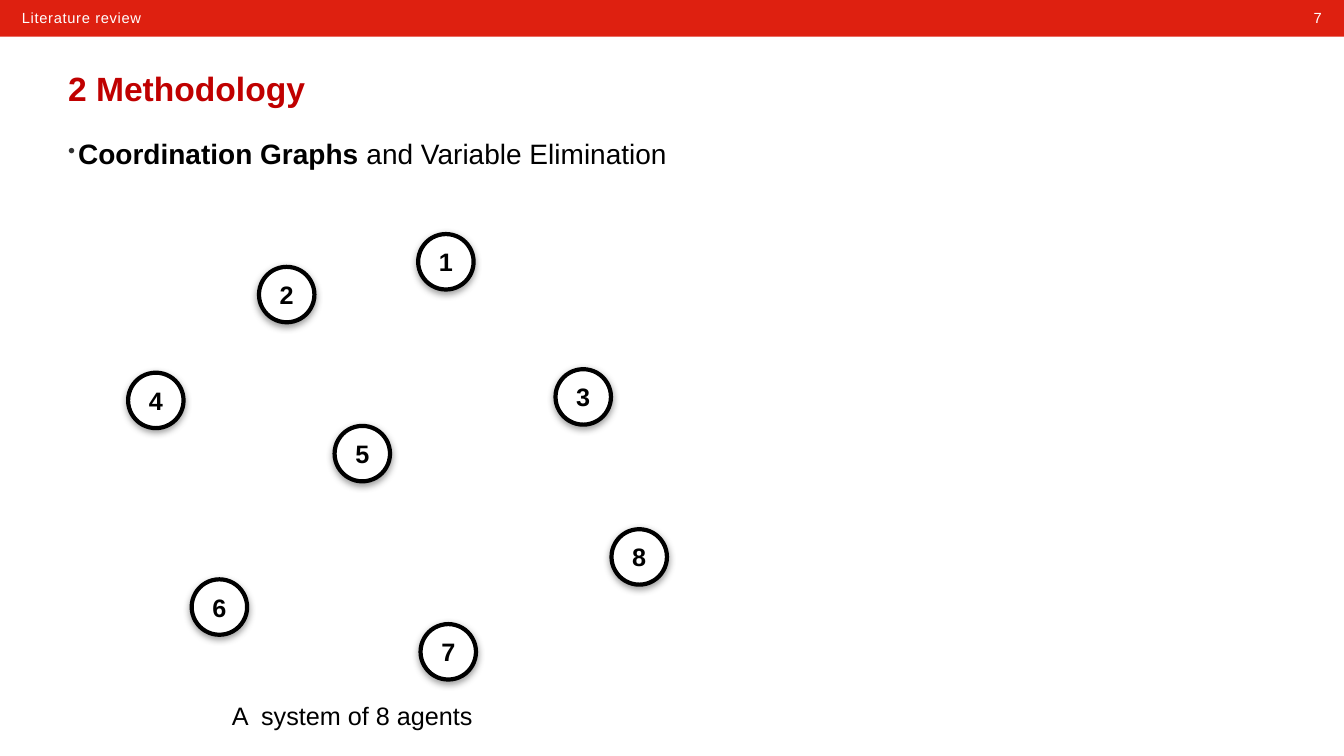
"""Build the slide that introduces a system of eight agents."""
from dataclasses import dataclass

from lxml.etree import _Element
from pptx import Presentation
from pptx.dml.color import RGBColor
from pptx.enum.shapes import MSO_SHAPE
from pptx.enum.text import MSO_ANCHOR, PP_ALIGN
from pptx.oxml import parse_xml
from pptx.oxml.ns import nsdecls, qn
from pptx.slide import Slide
from pptx.text.text import _Paragraph
from pptx.util import Pt

RECTANGLE, OVAL = MSO_SHAPE.RECTANGLE, MSO_SHAPE.OVAL
LEFT, CENTER, RIGHT = PP_ALIGN.LEFT, PP_ALIGN.CENTER, PP_ALIGN.RIGHT
TOP, MIDDLE = MSO_ANCHOR.TOP, MSO_ANCHOR.MIDDLE
BLACK = RGBColor(0x00, 0x00, 0x00)
WHITE = RGBColor(0xFF, 0xFF, 0xFF)
BANNER_RED = RGBColor(0xDE, 0x20, 0x10)
TITLE_RED = RGBColor(0xC0, 0x00, 0x00)
BULLET_GREY = RGBColor(0x32, 0x32, 0x32)
SHADOW_GREY = RGBColor(0x80, 0x80, 0x80)
FONT = "Arial"
SLIDE_WIDTH, SLIDE_HEIGHT = 960, 540
AGENT_SIZE = 39.6


@dataclass(frozen=True)
class Span:
    """A piece of text with its weight."""
    text: str
    bold: bool = False


@dataclass(frozen=True)
class Label:
    """A text box with one paragraph, in points."""
    left: float
    top: float
    width: float
    height: float
    spans: tuple[Span, ...]
    size: float
    color: RGBColor = BLACK
    align: PP_ALIGN = LEFT
    anchor: MSO_ANCHOR = TOP
    spacing: float = 0
    bullet: bool = False


@dataclass(frozen=True)
class Agent:
    """A numbered agent and its top left corner, in points."""
    number: int
    left: float
    top: float


LABELS = (
    Label(882.7, 2.9, 68.4, 20.2, (Span("7"),), 10.5, WHITE, RIGHT, spacing=0.5),
    Label(8.6, 2.9, 599.8, 20.2, (Span("Literature review"),), 10.5, WHITE, spacing=0.5),
    Label(41.5, 39.6, 877, 46, (Span("2 Methodology", True),), 24, TITLE_RED, anchor=MIDDLE),
    Label(41.5, 94.3, 935.3, 419.8,
          (Span("Coordination Graphs ", True), Span("and Variable Elimination")), 20, bullet=True),
    Label(91.4, 496.8, 320.4, 29.5, (Span("A  system of 8 agents"),), 18, align=CENTER),
)
AGENTS = (
    Agent(1, 298.7, 167.2),
    Agent(2, 185, 190.6),
    Agent(3, 396.8, 263.7),
    Agent(4, 91.5, 266.2),
    Agent(5, 239, 304.2),
    Agent(6, 136.9, 413.8),
    Agent(7, 300.4, 445.8),
    Agent(8, 436.8, 378),
)


def element(markup: str) -> _Element:
    """Parse a DrawingML element, adding the namespace to its first tag."""
    tag, rest = markup.split(" ", 1)
    return parse_xml(f"{tag} {nsdecls('a')} {rest}")


def style(para: _Paragraph, size: float, color: RGBColor, align: PP_ALIGN) -> None:
    """Set the font and alignment of a paragraph."""
    para.alignment = align
    para.font.name = FONT
    para.font.size = Pt(size)
    para.font.color.rgb = color


def add_bullet(para: _Paragraph) -> None:
    """Give a paragraph a small grey bullet."""
    properties = para._p.get_or_add_pPr()
    properties.set("marL", str(Pt(7.2)))
    properties.set("indent", str(Pt(-7.2)))
    parts = (
        f'<a:buClr ><a:srgbClr val="{BULLET_GREY}"/></a:buClr>',
        '<a:buSzPct val="75000"/>',
        '<a:buChar char="•"/>',
    )
    for index, part in enumerate(parts):
        properties.insert(index, element(part))


def add_label(slide: Slide, label: Label) -> None:
    """Draw a text box."""
    box = slide.shapes.add_textbox(Pt(label.left), Pt(label.top), Pt(label.width), Pt(label.height))
    frame = box.text_frame
    frame.word_wrap = True
    frame.vertical_anchor = label.anchor
    para = frame.paragraphs[0]
    style(para, label.size, label.color, label.align)
    for span in label.spans:
        run = para.add_run()
        run.text = span.text
        run.font.bold = span.bold
    if label.spacing:
        defaults = para._p.pPr.find(qn("a:defRPr"))
        defaults.set("spc", str(round(label.spacing * 100)))
    if label.bullet:
        add_bullet(para)


def add_banner(slide: Slide) -> None:
    """Draw the red band along the top edge."""
    banner = slide.shapes.add_shape(RECTANGLE, Pt(0), Pt(0), Pt(SLIDE_WIDTH), Pt(26.2))
    banner.shadow.inherit = False
    banner.fill.solid()
    banner.fill.fore_color.rgb = BANNER_RED
    banner.line.fill.background()


def add_agent(slide: Slide, agent: Agent) -> None:
    """Draw a numbered circle with a soft shadow below it."""
    circle = slide.shapes.add_shape(
        OVAL, Pt(agent.left), Pt(agent.top), Pt(AGENT_SIZE), Pt(AGENT_SIZE))
    circle.fill.solid()
    circle.fill.fore_color.rgb = WHITE
    circle.line.color.rgb = BLACK
    circle.line.width = Pt(3)
    circle.shadow.inherit = False
    circle._element.spPr.find(qn("a:effectLst")).append(element(
        f'<a:outerShdw blurRad="{Pt(5)}" dist="{Pt(2)}" dir="5400000" rotWithShape="0">'
        f'<a:srgbClr val="{SHADOW_GREY}"><a:alpha val="75000"/></a:srgbClr></a:outerShdw>'))
    frame = circle.text_frame
    frame.vertical_anchor = MIDDLE
    para = frame.paragraphs[0]
    para.text = str(agent.number)
    style(para, 18, BLACK, CENTER)
    para.font.bold = True


def main() -> None:
    """Build and save the deck."""
    deck = Presentation()
    deck.slide_width, deck.slide_height = Pt(SLIDE_WIDTH), Pt(SLIDE_HEIGHT)
    page = deck.slides.add_slide(deck.slide_layouts[6])
    add_banner(page)
    for label in LABELS:
        add_label(page, label)
    for agent in AGENTS:
        add_agent(page, agent)
    deck.save("out.pptx")


main()
